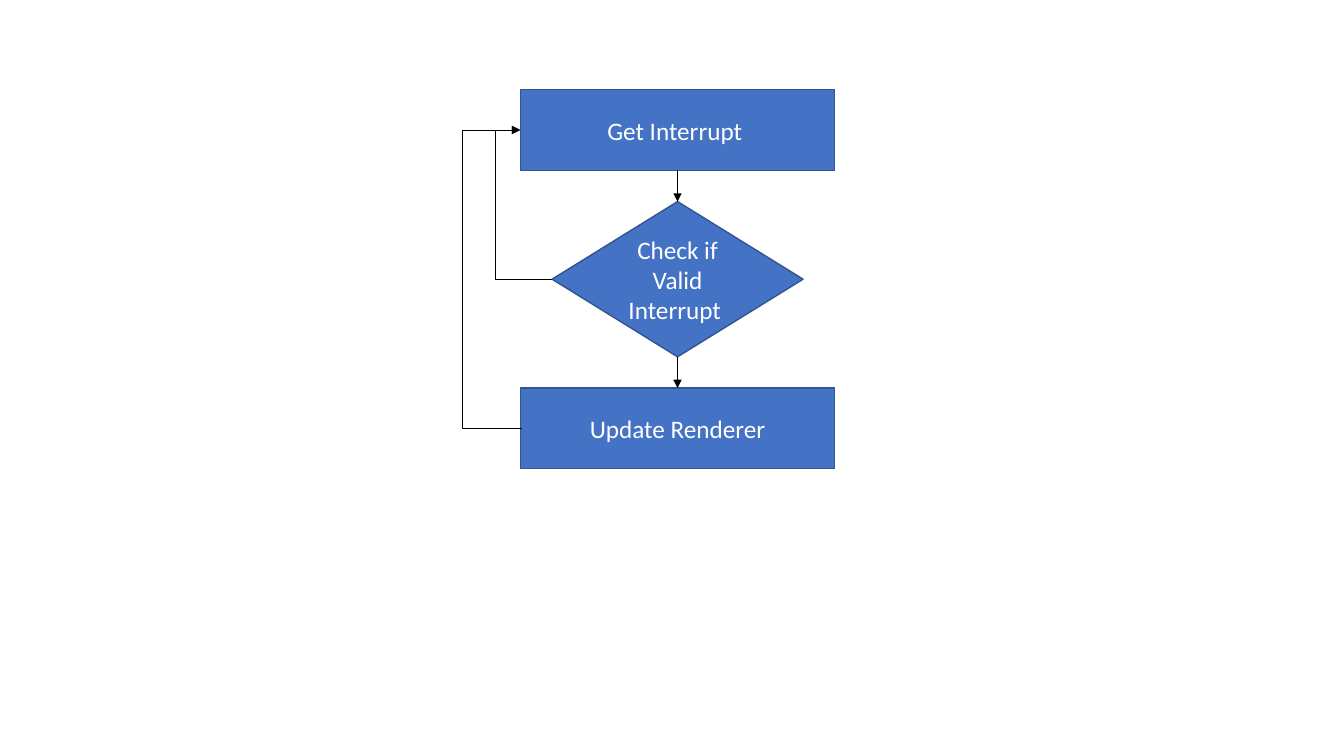
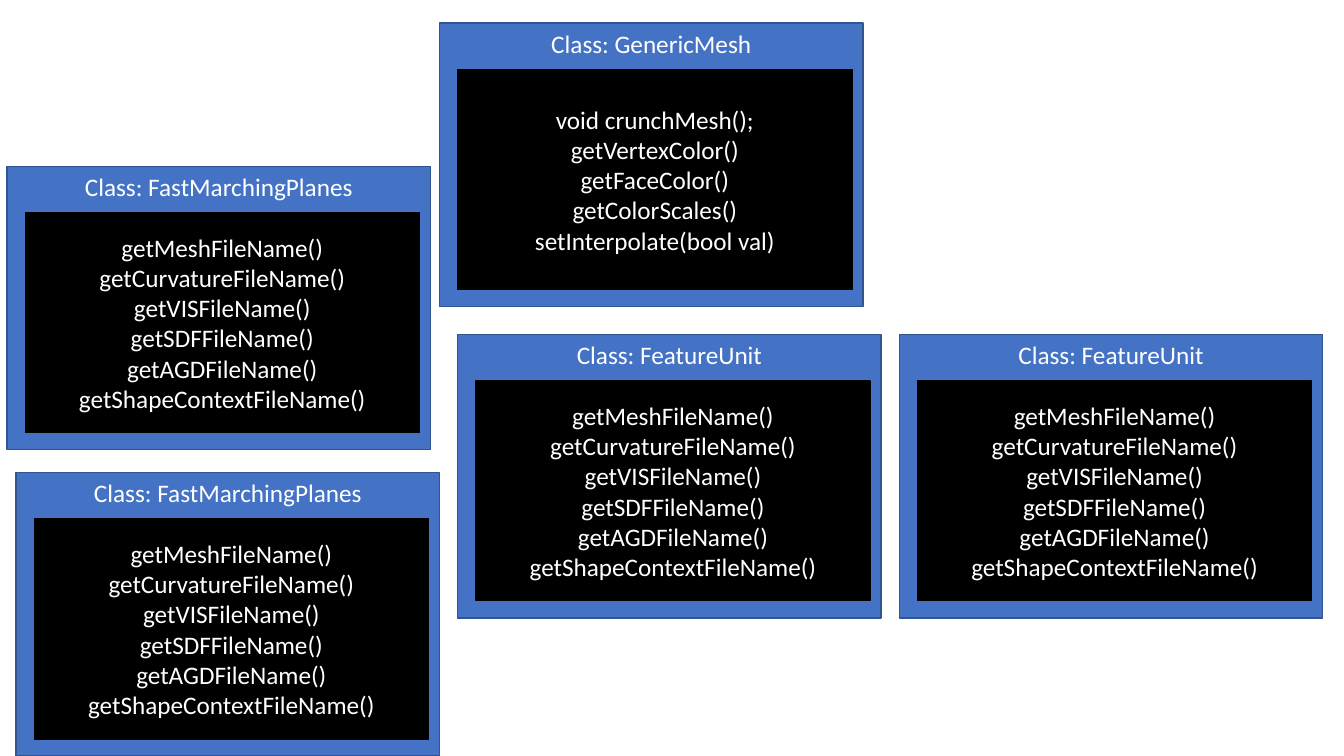
from lxml import etree
from pptx import Presentation
from pptx.dml.color import RGBColor
from pptx.enum import shapes, text
from pptx.oxml.ns import qn
from pptx.util import Inches, Pt

BLUE, EDGE, BLACK, WHITE = "4472C4", "325491", "000000", "FFFFFF"
FONT, SIZE = "Calibri", 18

FILE_GETTERS = [
    "getMeshFileName()", "getCurvatureFileName()", "getVISFileName()",
    "getSDFFileName()", "getAGDFileName()", "getShapeContextFileName()",
]
MESH_METHODS = [
    "void crunchMesh();", "getVertexColor()", "getFaceColor()",
    "getColorScales()", "setInterpolate(bool val)",
]
CLASSES = [
    (4.36, 0.23, "GenericMesh", MESH_METHODS),
    (0.16, 4.69, "FastMarchingPlanes", FILE_GETTERS),
    (4.54, 3.32, "FeatureUnit", FILE_GETTERS),
    (8.92, 3.32, "FeatureUnit", FILE_GETTERS),
    (0.07, 1.65, "FastMarchingPlanes", FILE_GETTERS),
]


def rgb(value):
    return RGBColor.from_string(value)


def add_box(s, kind, box, lines, fill=BLUE, edge=EDGE,
            anchor=text.MSO_ANCHOR.MIDDLE):
    sp = s.shapes.add_shape(kind, *(Inches(v) for v in box))
    sp.shadow.inherit = False
    sp.fill.solid()
    sp.fill.fore_color.rgb = rgb(fill)
    sp.line.color.rgb = rgb(edge)
    sp.line.width = Pt(1)
    tf = sp.text_frame
    tf.word_wrap = True
    tf.vertical_anchor = anchor
    for i, line in enumerate(lines):
        p = tf.paragraphs[0] if i == 0 else tf.add_paragraph()
        p.alignment = text.PP_ALIGN.CENTER
        r = p.add_run()
        r.text = line
        r.font.name = FONT
        r.font.size = Pt(SIZE)
        r.font.color.rgb = rgb(WHITE)
    return sp


def add_arrow(s, start, end, kind=shapes.MSO_CONNECTOR.STRAIGHT):
    c = s.shapes.add_connector(kind, *(Inches(v) for v in (*start, *end)))
    c.line.color.rgb = rgb(BLACK)
    c.line.width = Pt(0.5)
    sp_pr = c._element.spPr
    etree.SubElement(sp_pr.find(qn("a:ln")), qn("a:tailEnd"), type="triangle")
    etree.SubElement(sp_pr, qn("a:effectLst"))
    return c


def add_loop(s, start, end, turn_x):
    """Draw an elbow arrow whose upright stands at turn_x."""
    c = add_arrow(s, start, end, shapes.MSO_CONNECTOR.ELBOW)
    bend = round((start[0] - turn_x) / (start[0] - end[0]) * 100000)
    guides = c._element.spPr.find(qn("a:prstGeom")).get_or_add_avLst()
    etree.SubElement(guides, qn("a:gd"), name="adj1", fmla=f"val {bend}")


def add_interrupt_flow(s, left, top):
    width, height, gap = 3.12, 0.8, 0.31
    check_w, check_h = 2.49, 1.54
    mid = left + width / 2
    check_left = mid - check_w / 2
    check_top = top + height + gap
    update_top = check_top + check_h + gap
    rect, diamond = shapes.MSO_SHAPE.RECTANGLE, shapes.MSO_SHAPE.DIAMOND

    add_box(s, rect, (left, top, width, height), ["Get Interrupt "])
    add_box(s, rect, (left, update_top, width, height), ["Update Renderer"])
    add_box(s, diamond, (check_left, check_top, check_w, check_h),
            ["Check if Valid Interrupt "])

    for target in (check_top, update_top):
        add_arrow(s, (mid, target - gap), (mid, target))
    entry = (left, top + height / 2)
    add_loop(s, (left + 0.02, update_top + height / 2), entry, left - 0.57)
    add_loop(s, (check_left, check_top + check_h / 2), entry, left - 0.25)


def add_class_card(s, left, top, name, methods):
    rect = shapes.MSO_SHAPE.RECTANGLE
    add_box(s, rect, (left, top, 4.2, 2.81), [f"Class: {name}"],
            anchor=text.MSO_ANCHOR.TOP)
    add_box(s, rect, (left + 0.18, top + 0.46, 3.91, 2.18), methods,
            BLACK, BLACK)


def main():
    prs = Presentation()
    prs.slide_width, prs.slide_height = Inches(13.33), Inches(7.5)
    blank = prs.slide_layouts.get_by_name("Blank")
    add_interrupt_flow(prs.slides.add_slide(blank), 5.16, 0.89)
    s = prs.slides.add_slide(blank)
    for card in CLASSES:
        add_class_card(s, *card)
    prs.save("out.pptx")


if __name__ == "__main__":
    main()
